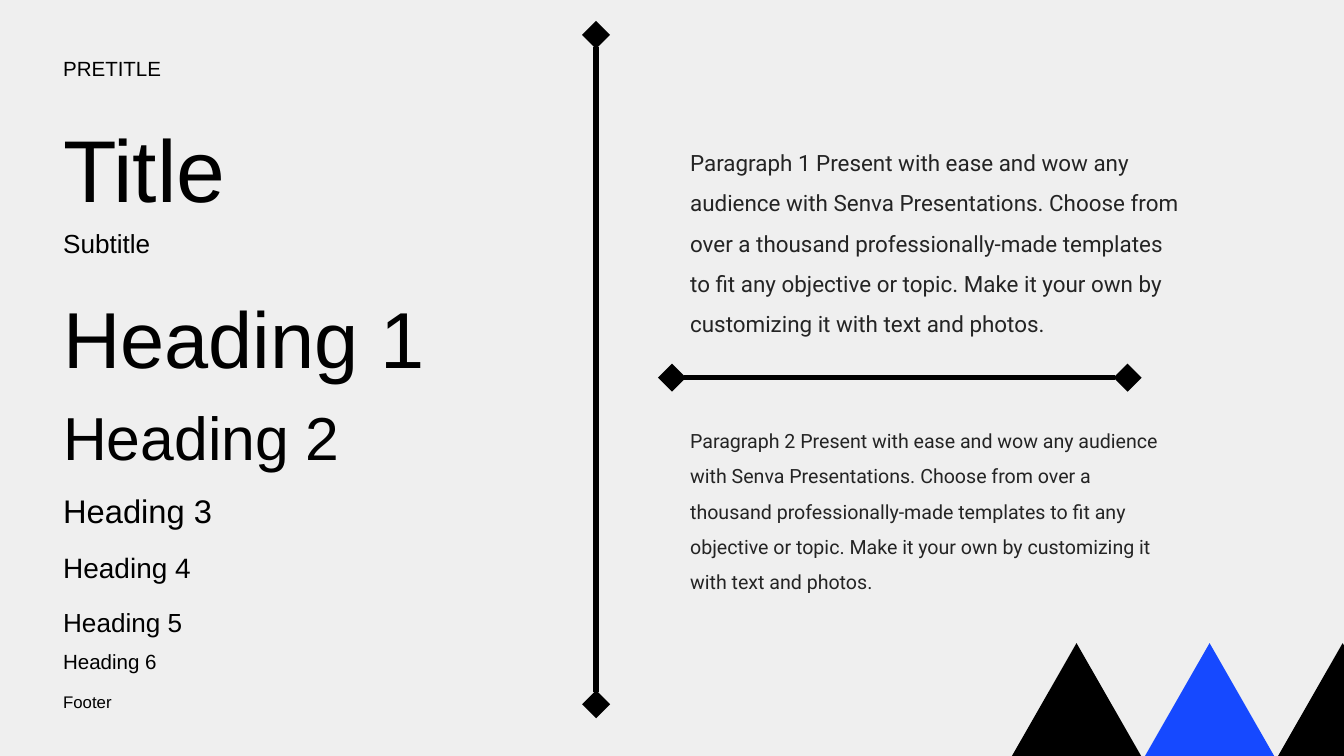
from lxml.etree import SubElement
from pptx import Presentation
from pptx.dml.color import RGBColor
from pptx.enum.shapes import MSO_CONNECTOR, MSO_SHAPE
from pptx.enum.text import MSO_ANCHOR, MSO_AUTO_SIZE, PP_ALIGN
from pptx.oxml.ns import qn
from pptx.util import Inches, Pt

PAPER = RGBColor(0xEF, 0xEF, 0xEF)
BLACK = RGBColor(0x00, 0x00, 0x00)
CHARCOAL = RGBColor(0x24, 0x24, 0x24)
BLUE = RGBColor(0x16, 0x49, 0xFF)

BODY = (
    "Present with ease and wow any audience with Senva Presentations. "
    "Choose from over a thousand professionally-made templates to fit any "
    "objective or topic. Make it your own by customizing it with text and photos."
)
HEADINGS = [
    ("PRETITLE", 0.69, 0.41, 22, 1.4),
    ("Title", 1.39, 1.57, 94, 1.2),
    ("Subtitle", 3.2, 0.52, 28, 1.4),
    ("Heading 1", 4.02, 1.41, 85, 1.2),
    ("Heading 2", 5.73, 1.09, 65, 1.2),
    ("Heading 3", 7.07, 0.65, 35, 1.4),
    ("Heading 4", 8.04, 0.53, 30, 1.3),
    ("Heading 5", 8.89, 0.49, 28, 1.3),
    ("Heading 6", 9.55, 0.39, 22, 1.3),
    ("Footer", 10.2, 0.32, 18, 1.3),
]
PARAGRAPHS = [
    ("Paragraph 1", 2.02, 7.38, 2.83, 24),
    ("Paragraph 2", 6.21, 7.13, 2.47, 21),
]


def set_values(target, values):
    """Set each named attribute of the target."""
    for name, value in values.items():
        setattr(target, name, value)


def write_text(box, text, size, spacing, font, color):
    """Write one left-aligned paragraph in a box without margins."""
    frame = box.text_frame
    set_values(frame, {
        "margin_left": 0, "margin_top": 0, "margin_right": 0, "margin_bottom": 0,
        "word_wrap": True, "vertical_anchor": MSO_ANCHOR.TOP,
        "auto_size": MSO_AUTO_SIZE.SHAPE_TO_FIT_TEXT,
    })
    para = frame.paragraphs[0]
    set_values(para, {
        "alignment": PP_ALIGN.LEFT, "line_spacing": spacing, "space_before": Pt(0),
    })
    span = para.add_run()
    span.text = text
    set_values(span.font, {"name": font, "size": Pt(size)})
    span.font.color.rgb = color


def add_headings(page, left, width):
    """Stack the type samples in the left column."""
    for text, top, height, size, spacing in HEADINGS:
        place = [Inches(value) for value in (left, top, width, height)]
        if text == "Title":
            box = page.shapes.title
            set_values(box, dict(zip(("left", "top", "width", "height"), place)))
        else:
            box = page.shapes.add_textbox(*place)
        write_text(box, text, size, spacing, "Arial", BLACK)


def add_paragraphs(page, left):
    """Place the body text samples in the right column."""
    for label, top, width, height, size in PARAGRAPHS:
        box = page.shapes.add_textbox(
            Inches(left), Inches(top), Inches(width), Inches(height))
        write_text(box, f"{label} {BODY}", size, 1.5, "Roboto", CHARCOAL)


def add_divider(page, *ends):
    """Draw a thick line with a large diamond at each end."""
    line = page.shapes.add_connector(
        MSO_CONNECTOR.STRAIGHT, *[Inches(value) for value in ends])
    line.line.color.rgb = BLACK
    line.line.width = Pt(6)
    properties = line._element.spPr
    for end in ("a:headEnd", "a:tailEnd"):
        SubElement(properties.find(qn("a:ln")), qn(end),
                   type="diamond", w="lg", len="lg")
    SubElement(properties, qn("a:effectLst"))


def add_triangles(page, left, top, width, height):
    """Set a row of touching triangles in the bottom corner."""
    for index, color in enumerate((BLACK, BLUE, BLACK)):
        triangle = page.shapes.add_shape(
            MSO_SHAPE.ISOSCELES_TRIANGLE, Inches(left + index * width),
            Inches(top), Inches(width), Inches(height))
        triangle.shadow.inherit = False
        triangle.fill.solid()
        triangle.fill.fore_color.rgb = color
        triangle.line.fill.background()


def main():
    """Build and save the deck."""
    deck = Presentation()
    set_values(deck, {"slide_width": Inches(20), "slide_height": Inches(11.25)})
    page = deck.slides.add_slide(deck.slide_layouts[5])
    page.background.fill.solid()
    page.background.fill.fore_color.rgb = PAPER
    add_paragraphs(page, 10.27)
    add_headings(page, 0.94, 7.56)
    add_divider(page, 8.87, 10.48, 8.87, 0.52)
    add_divider(page, 16.78, 5.62, 10, 5.62)
    add_triangles(page, 15.03, 9.57, 1.98, 1.73)
    deck.save("out.pptx")


if __name__ == "__main__":
    main()
